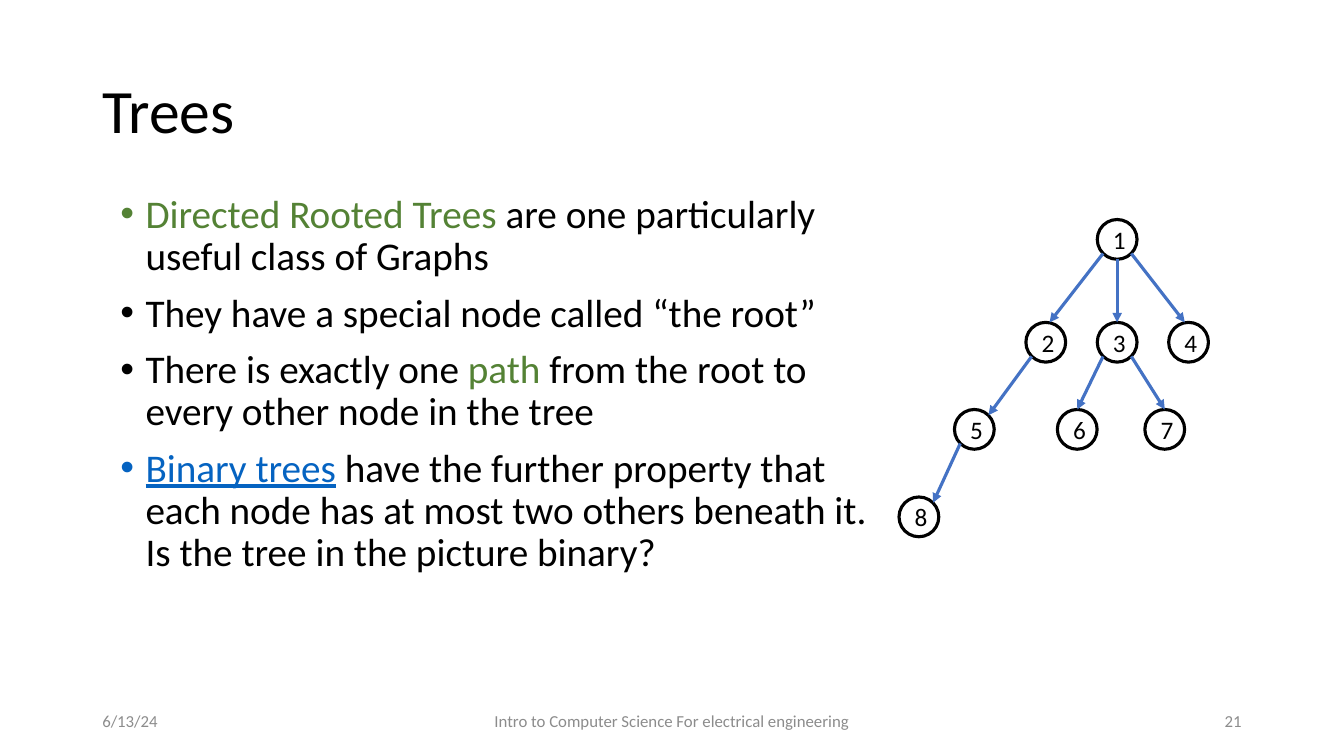
from dataclasses import dataclass
from typing import NamedTuple

import lxml.etree
import pptx
import pptx.dml.color
import pptx.enum.shapes
import pptx.enum.text
import pptx.oxml.ns
import pptx.util

Pt = pptx.util.Pt
RGB = pptx.dml.color.RGBColor
Align = pptx.enum.text.PP_ALIGN
Anchor = pptx.enum.text.MSO_ANCHOR
qn = pptx.oxml.ns.qn


@dataclass(frozen=True)
class Theme:
    font: str = "Calibri"
    title_size: float = 44
    body_size: float = 28
    node_size: float = 18
    footer_size: float = 12
    ink: RGB = RGB(0x00, 0x00, 0x00)
    term: RGB = RGB(0x54, 0x82, 0x35)
    link: RGB = RGB(0x05, 0x63, 0xC1)
    muted: RGB = RGB(0x8C, 0x8C, 0x8C)
    edge: RGB = RGB(0x44, 0x72, 0xC4)
    stroke: float = 2.25


THEME = Theme()


class Box(NamedTuple):
    left: float
    top: float
    width: float
    height: float


class Phrase(NamedTuple):
    text: str
    color: RGB = THEME.ink
    underline: bool = False


class Node(NamedTuple):
    x: float
    y: float


class Edge(NamedTuple):
    parent: int
    child: int
    leave: tuple[float, float]  # in radii from the parent's centre
    arrive: tuple[float, float]  # in radii from the child's centre


class FooterItem(NamedTuple):
    text: str
    box: Box
    align: Align


BULLETS = [
    [Phrase("Directed Rooted Trees ", THEME.term), Phrase("are one particularly useful class of Graphs")],
    [Phrase("They have a special node called “the root”")],
    [Phrase("There is exactly one "), Phrase("path", THEME.term),
     Phrase(" from the root to every other node in the tree")],
    [Phrase("Binary trees", THEME.link, True),
     Phrase(" have the further property that each node has at most two others beneath it. "
            "Is the tree in the picture binary?")],
]

# Node centres, by level
RADIUS = 14.2
ROOT_Y, CHILD_Y, GRANDCHILD_Y, LEAF_Y = 171, 244.5, 306.7, 369.2
NODES = {
    1: Node(798, ROOT_Y),
    2: Node(747, CHILD_Y), 3: Node(798, CHILD_Y), 4: Node(849, CHILD_Y),
    5: Node(696, GRANDCHILD_Y), 6: Node(769.5, GRANDCHILD_Y), 7: Node(832, GRANDCHILD_Y),
    8: Node(656.4, LEAF_Y),
}

# Points on a node's rim
DOWN_LEFT, DOWN, DOWN_RIGHT = (-0.71, 0.71), (0, 1), (0.71, 0.71)
UP, UP_RIGHT = (0, -1), (0.71, -0.71)
EDGES = [
    Edge(1, 2, DOWN_LEFT, (0.19, -1)),
    Edge(1, 3, DOWN, UP),
    Edge(1, 4, DOWN_RIGHT, (-0.19, -1)),
    Edge(2, 5, DOWN_LEFT, UP_RIGHT),
    Edge(3, 6, DOWN_LEFT, UP),
    Edge(3, 7, DOWN_RIGHT, UP),
    Edge(5, 8, DOWN_LEFT, UP_RIGHT),
]

FOOTER_TOP, FOOTER_HEIGHT = 500.5, 28.75
FOOTER = [
    FooterItem("6/13/24", Box(66, FOOTER_TOP, 216, FOOTER_HEIGHT), Align.LEFT),
    FooterItem("Intro to Computer Science For electrical engineering",
               Box(318, FOOTER_TOP, 324, FOOTER_HEIGHT), Align.CENTER),
    FooterItem("21", Box(678, FOOTER_TOP, 216, FOOTER_HEIGHT), Align.RIGHT),
]


def place(shape, box: Box) -> None:
    shape.left, shape.top, shape.width, shape.height = map(Pt, box)


def style_frame(frame, anchor: Anchor) -> None:
    frame.word_wrap = True
    frame.auto_size = pptx.enum.text.MSO_AUTO_SIZE.NONE
    frame.vertical_anchor = anchor


def style_paragraph(paragraph, size: float, color: RGB, align: Align = Align.LEFT) -> None:
    paragraph.alignment = align
    paragraph.font.name = THEME.font
    paragraph.font.size = Pt(size)
    paragraph.font.color.rgb = color


def write_line(frame, text: str, size: float, color: RGB, align: Align = Align.LEFT) -> None:
    style_frame(frame, Anchor.MIDDLE)
    frame.text = text
    style_paragraph(frame.paragraphs[0], size, color, align)


def write_bullets(frame, bullets: list[list[Phrase]]) -> None:
    style_frame(frame, Anchor.TOP)
    for index, phrases in enumerate(bullets):
        paragraph = frame.add_paragraph() if index else frame.paragraphs[0]
        style_paragraph(paragraph, THEME.body_size, THEME.ink)
        paragraph.line_spacing = 0.9
        paragraph.space_before = Pt(10)
        properties = paragraph.font._element.getparent()
        properties.set("marL", str(Pt(18)))
        properties.set("indent", str(Pt(-18)))
        for phrase in phrases:
            run = paragraph.add_run()
            run.text = phrase.text
            run.font.color.rgb = phrase.color
            if phrase.underline:
                run.font.underline = True


def draw_edge(shapes, edge: Edge) -> None:
    start, end = NODES[edge.parent], NODES[edge.child]
    arrow = shapes.add_connector(
        pptx.enum.shapes.MSO_CONNECTOR.STRAIGHT,
        Pt(start.x + RADIUS * edge.leave[0]), Pt(start.y + RADIUS * edge.leave[1]),
        Pt(end.x + RADIUS * edge.arrive[0]), Pt(end.y + RADIUS * edge.arrive[1]))
    arrow.line.color.rgb = THEME.edge
    arrow.line.width = Pt(THEME.stroke)
    properties = arrow.element.spPr
    lxml.etree.SubElement(properties.find(qn("a:ln")), qn("a:tailEnd"), type="triangle")
    lxml.etree.SubElement(properties, qn("a:effectLst"))


def draw_node(shapes, label: int, node: Node) -> None:
    circle = shapes.add_shape(
        pptx.enum.shapes.MSO_SHAPE.OVAL,
        Pt(node.x - RADIUS), Pt(node.y - RADIUS), Pt(2 * RADIUS), Pt(2 * RADIUS))
    circle.shadow.inherit = False
    circle.fill.background()
    circle.line.color.rgb = THEME.ink
    circle.line.width = Pt(THEME.stroke)
    write_line(circle.text_frame, str(label), THEME.node_size, THEME.ink)


def main() -> None:
    deck = pptx.Presentation()
    deck.slide_width, deck.slide_height = Pt(960), Pt(540)
    slide = deck.slides.add_slide(deck.slide_layouts[1])

    # Title and list
    title, body = slide.placeholders
    place(title, Box(66, 28.75, 828, 104.4))
    write_line(title.text_frame, "Trees", THEME.title_size, THEME.ink)
    title.text_frame.paragraphs[0].line_spacing = 0.9
    place(body, Box(78.75, 135.4, 567.4, 342.7))
    write_bullets(body.text_frame, BULLETS)

    # Footer
    for item in FOOTER:
        footer = slide.shapes.add_textbox(*map(Pt, item.box))
        write_line(footer.text_frame, item.text, THEME.footer_size, THEME.muted, item.align)

    # Tree diagram
    tree = slide.shapes.add_group_shape().shapes
    for label, node in NODES.items():
        draw_node(tree, label, node)
    for edge in EDGES:
        draw_edge(tree, edge)

    deck.save("out.pptx")


if __name__ == "__main__":
    main()
